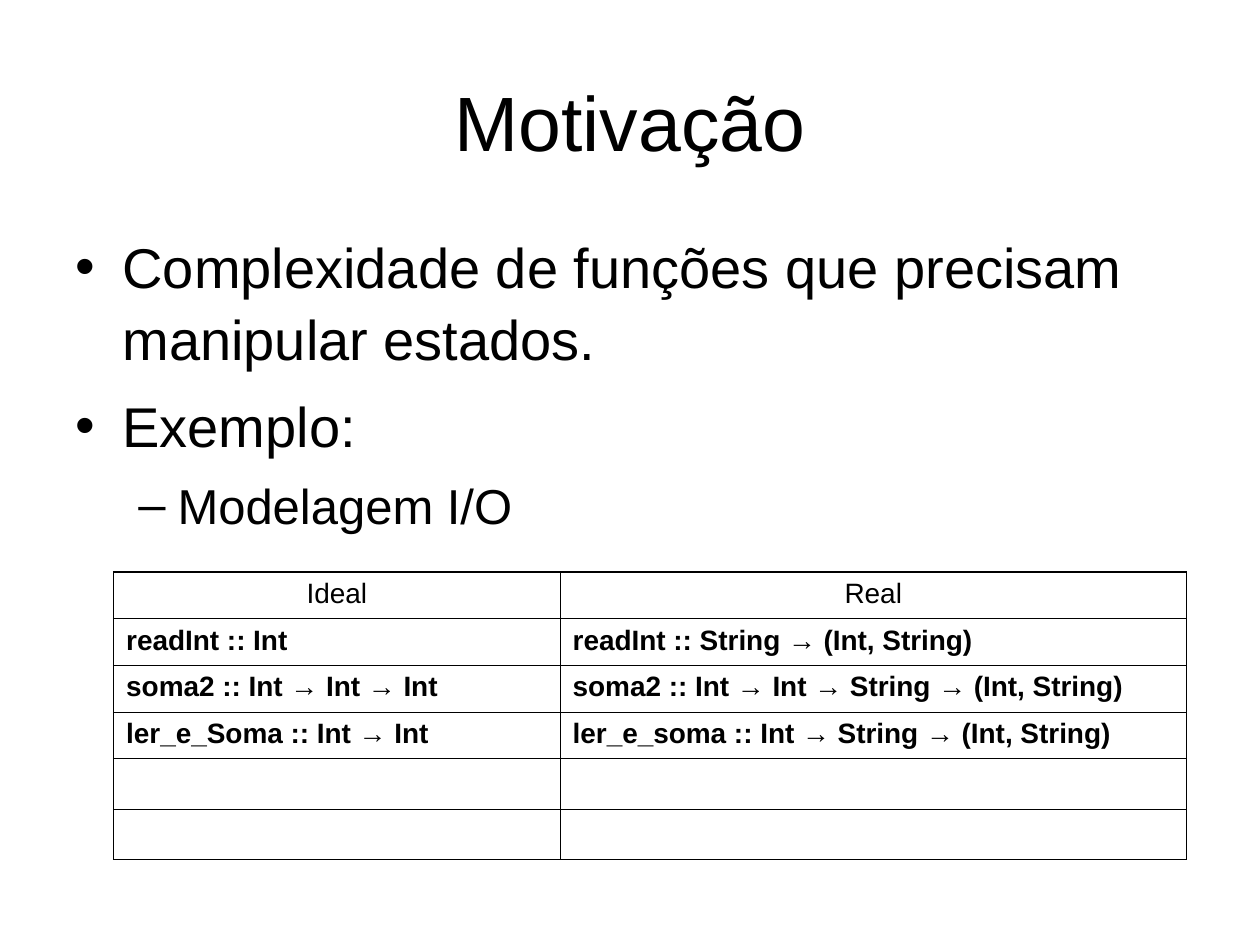
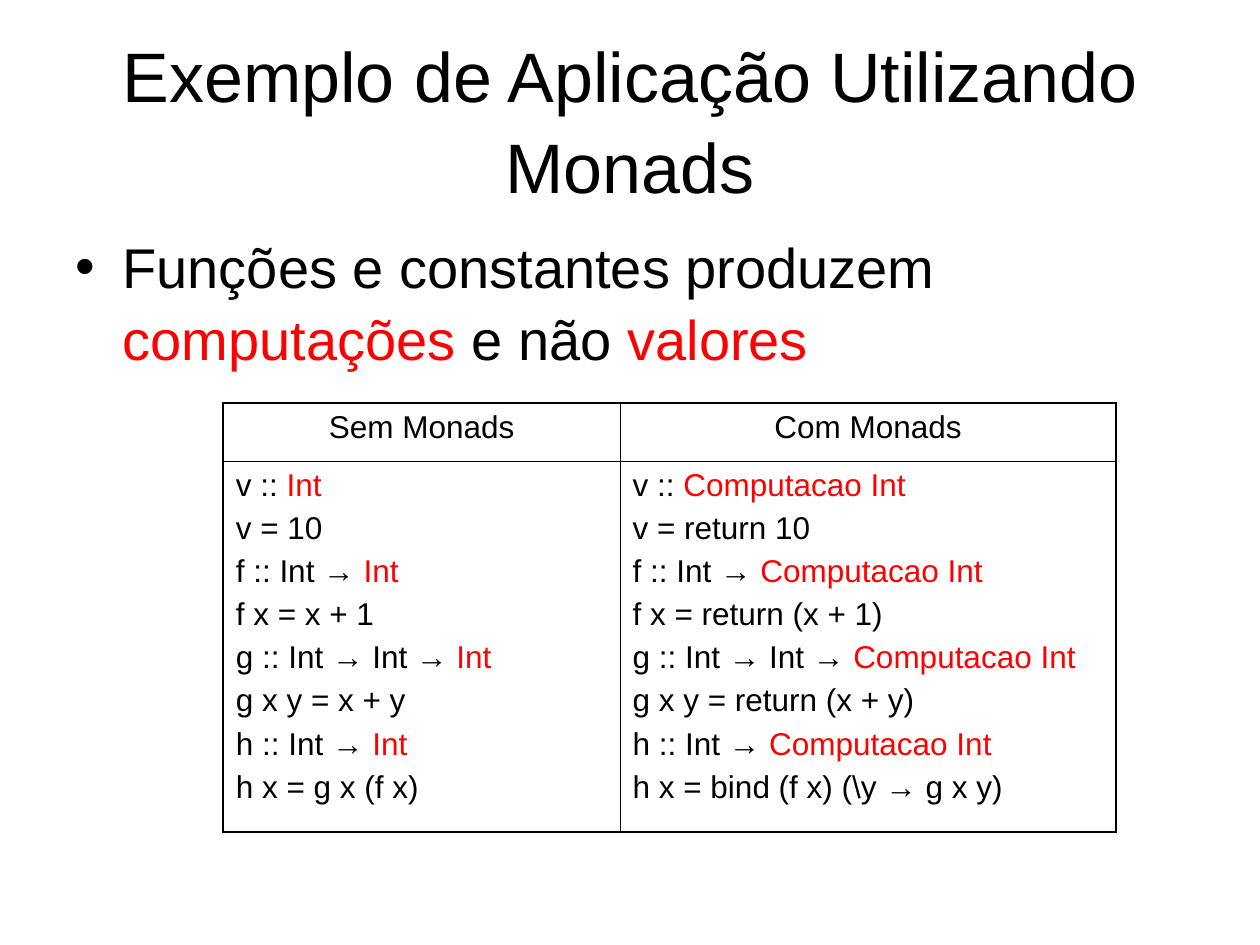
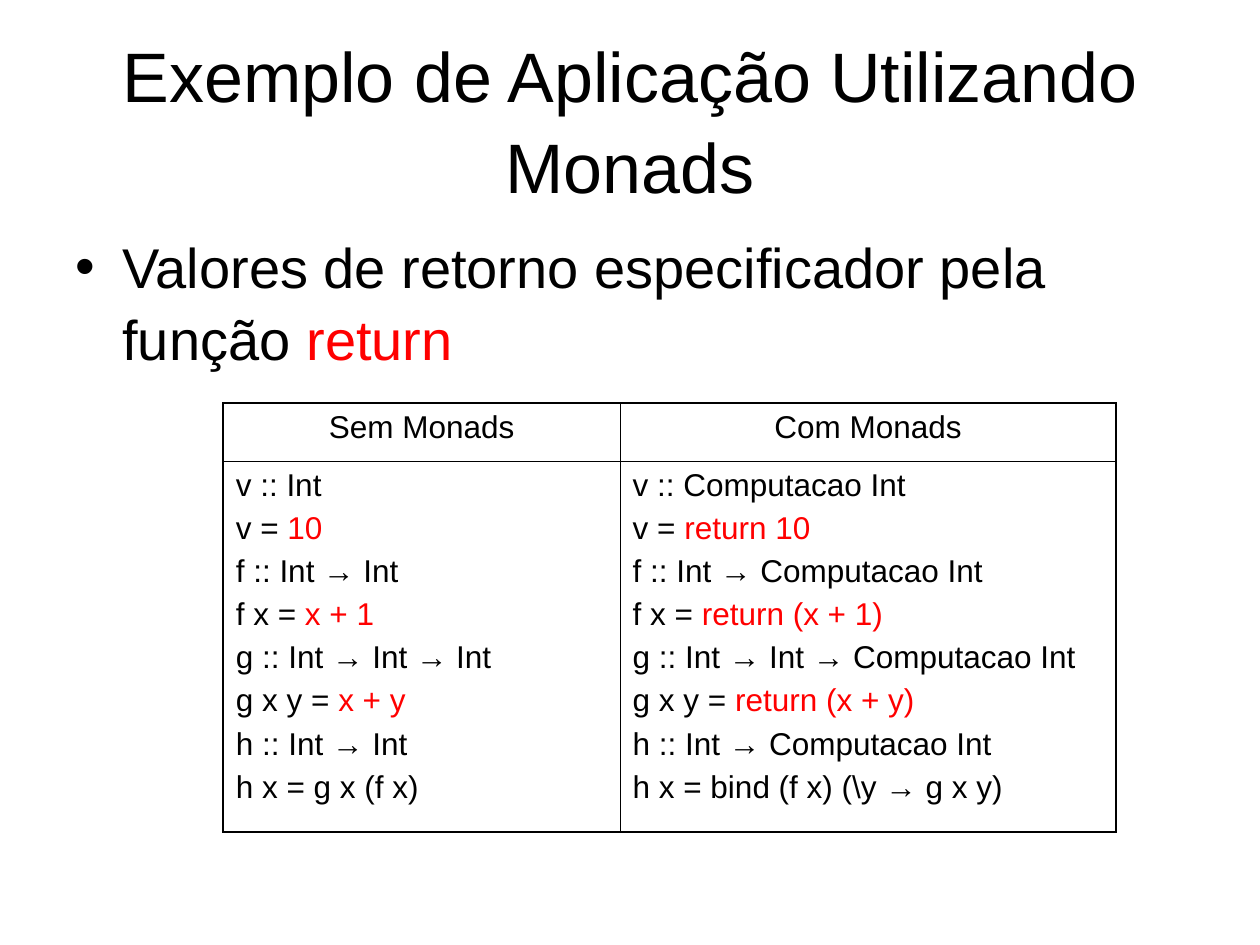
from lxml.etree import SubElement
from pptx import Presentation
from pptx.dml.color import RGBColor
from pptx.enum.text import MSO_ANCHOR, PP_ALIGN
from pptx.oxml import parse_xml
from pptx.oxml.ns import nsdecls, qn
from pptx.util import Cm, Pt

FONT, BLACK, RED = "Arial", "000000", "FF0000"
THIN, THICK = 0.45, 1.08
TEXT_LINE_SPACING = 1.08

# Paragraphs are lists of (text, colour) runs
def plain(text):
    return [(text, BLACK)]


# Content: the same definitions without and with monads, split before the part to highlight
WITHOUT_MONADS = [
    ("v :: ", "Int"), ("v = ", "10"),
    ("f :: Int → ", "Int"), ("f x = ", "x + 1"),
    ("g :: Int → Int → ", "Int"), ("g x y = ", "x + y"),
    ("h :: Int → ", "Int"), ("h x = ", "g x (f x)"),
]
WITH_MONADS = [
    ("v :: ", "Computacao Int"), ("v = ", "return 10"),
    ("f :: Int → ", "Computacao Int"), ("f x = ", "return (x + 1)"),
    ("g :: Int → Int → ", "Computacao Int"), ("g x y = ", "return (x + y)"),
    ("h :: Int → ", "Computacao Int"), ("h x = ", "bind (f x) (\\y → g x y)"),
]
SIGNATURES = (0, 2, 4, 6)
RETURNED_VALUES = (1, 3, 5)


def definitions(lines, highlighted):
    return [[(start, BLACK), (end, RED)] if number in highlighted else plain(start + end)
            for number, (start, end) in enumerate(lines)]


def monad_comparison(highlighted):
    return {
        "left": 4.5, "top": 8.13, "columns": (8, 10), "rows": (1.17, 7.47),
        "size": 18, "space": 4.5, "bold": False,
        "headings": ("Sem Monads", "Com Monads"),
        "body": [[definitions(WITHOUT_MONADS, highlighted),
                  definitions(WITH_MONADS, highlighted)]],
    }


TYPES = [
    ("readInt :: Int", "readInt :: String → (Int, String)"),
    ("soma2 :: Int → Int → Int", "soma2 :: Int → Int → String → (Int, String)"),
    ("ler_e_Soma :: Int → Int", "ler_e_soma :: Int → String → (Int, String)"),
]
TYPE_COMPARISON = {
    "left": 2.29, "top": 11.53, "columns": (9, 12.63), "rows": (0.94,) * 6,
    "size": 16, "space": 4, "bold": True,
    "headings": ("Ideal", "Real"),
    "body": [[[plain(kind)] for kind in pair] for pair in TYPES] + [[[], []]] * 2,
}

MONAD_TITLE = "Exemplo de Aplicação Utilizando Monads"
SLIDES = [
    ("Motivação", 44, [
        (0, plain("Complexidade de funções que precisam manipular estados.")),
        (0, plain("Exemplo:")),
        (1, plain("Modelagem I/O")),
    ], TYPE_COMPARISON),
    (MONAD_TITLE, 40, [
        (0, [("Funções e constantes produzem ", BLACK), ("computações", RED),
             (" e não ", BLACK), ("valores", RED)]),
    ], monad_comparison(SIGNATURES)),
    (MONAD_TITLE, 40, [
        (0, [("Valores de retorno especificador pela função ", BLACK), ("return", RED)]),
    ], monad_comparison(RETURNED_VALUES)),
]

# Bullet levels: sign, left margin, hanging indent, text size, space before
LEVELS = [("•", 0.95, 0.95, 32, 8), ("–", 2.06, 0.79, 28, 7)]


def colour(hex_text):
    return RGBColor.from_string(hex_text)


def add_runs(paragraph, runs, size, bold=False):
    for text, run_colour in runs:
        run = paragraph.add_run()
        run.text = text
        run.font.name = FONT
        run.font.size = Pt(size)
        run.font.bold = bold
        run.font.color.rgb = colour(run_colour)


def paragraphs_for(frame, count):
    return [frame.paragraphs[0]] + [frame.add_paragraph() for _ in range(count - 1)]


def add_text_frame(slide, top, height):
    frame = slide.shapes.add_textbox(Cm(1.27), Cm(top), Cm(22.86), Cm(height)).text_frame
    frame.word_wrap = True
    return frame


def add_title(slide, title, size):
    frame = add_text_frame(slide, 0.76, 3.18)
    frame.vertical_anchor = MSO_ANCHOR.MIDDLE
    heading = frame.paragraphs[0]
    heading.alignment = PP_ALIGN.CENTER
    heading.line_spacing = TEXT_LINE_SPACING
    add_runs(heading, plain(title), size)


def add_bullets(slide, points):
    frame = add_text_frame(slide, 4.45, 12.57)
    for number, (paragraph, (level, runs)) in enumerate(
            zip(paragraphs_for(frame, len(points)), points)):
        sign, margin, hanging, size, space = LEVELS[level]
        properties = paragraph._p.get_or_add_pPr()
        properties.set("marL", str(Cm(margin)))
        properties.set("indent", str(-Cm(hanging)))
        SubElement(properties, qn("a:buFont"), typeface=FONT)
        SubElement(properties, qn("a:buChar"), char=sign)
        paragraph.level = level
        paragraph.line_spacing = TEXT_LINE_SPACING
        paragraph.space_before = Pt(space if number else 0)
        add_runs(paragraph, runs, size)


def set_borders(cell, widths):
    properties = cell._tc.get_or_add_tcPr()
    for position, (side, width) in enumerate(zip("LRTB", widths)):
        properties.insert(position, parse_xml(
            f'<a:ln{side} {nsdecls("a")} w="{Pt(width)}"><a:solidFill>'
            f'<a:srgbClr val="{BLACK}"/></a:solidFill></a:ln{side}>'))


def add_comparison(slide, comparison):
    columns, rows = comparison["columns"], comparison["rows"]
    table = slide.shapes.add_table(
        len(rows), len(columns), Cm(comparison["left"]), Cm(comparison["top"]),
        Cm(sum(columns)), Cm(sum(rows))).table
    table.first_row = table.horz_banding = False
    for column, width in zip(table.columns, columns):
        column.width = Cm(width)
    for row, height in zip(table.rows, rows):
        row.height = Cm(height)

    contents = [[[plain(heading)] for heading in comparison["headings"]]] + comparison["body"]
    last_row, last_column = len(rows) - 1, len(columns) - 1
    for r, row_contents in enumerate(contents):
        for c, lines in enumerate(row_contents):
            cell = table.cell(r, c)
            cell.fill.background()
            outer_edges = (c == 0, c == last_column, r == 0, r == last_row)
            set_borders(cell, [THICK if outer else THIN for outer in outer_edges])
            for number, (paragraph, runs) in enumerate(
                    zip(paragraphs_for(cell.text_frame, len(lines)), lines)):
                paragraph.alignment = PP_ALIGN.LEFT if r else PP_ALIGN.CENTER
                paragraph.space_before = Pt(comparison["space"] if number else 0)
                add_runs(paragraph, runs, comparison["size"], comparison["bold"] and r > 0)


def main():
    deck = Presentation()
    deck.slide_width, deck.slide_height = Cm(25.4), Cm(19.05)
    for title, title_size, points, comparison in SLIDES:
        slide = deck.slides.add_slide(deck.slide_layouts[6])
        add_title(slide, title, title_size)
        add_bullets(slide, points)
        add_comparison(slide, comparison)
    deck.save("out.pptx")


if __name__ == "__main__":
    main()
